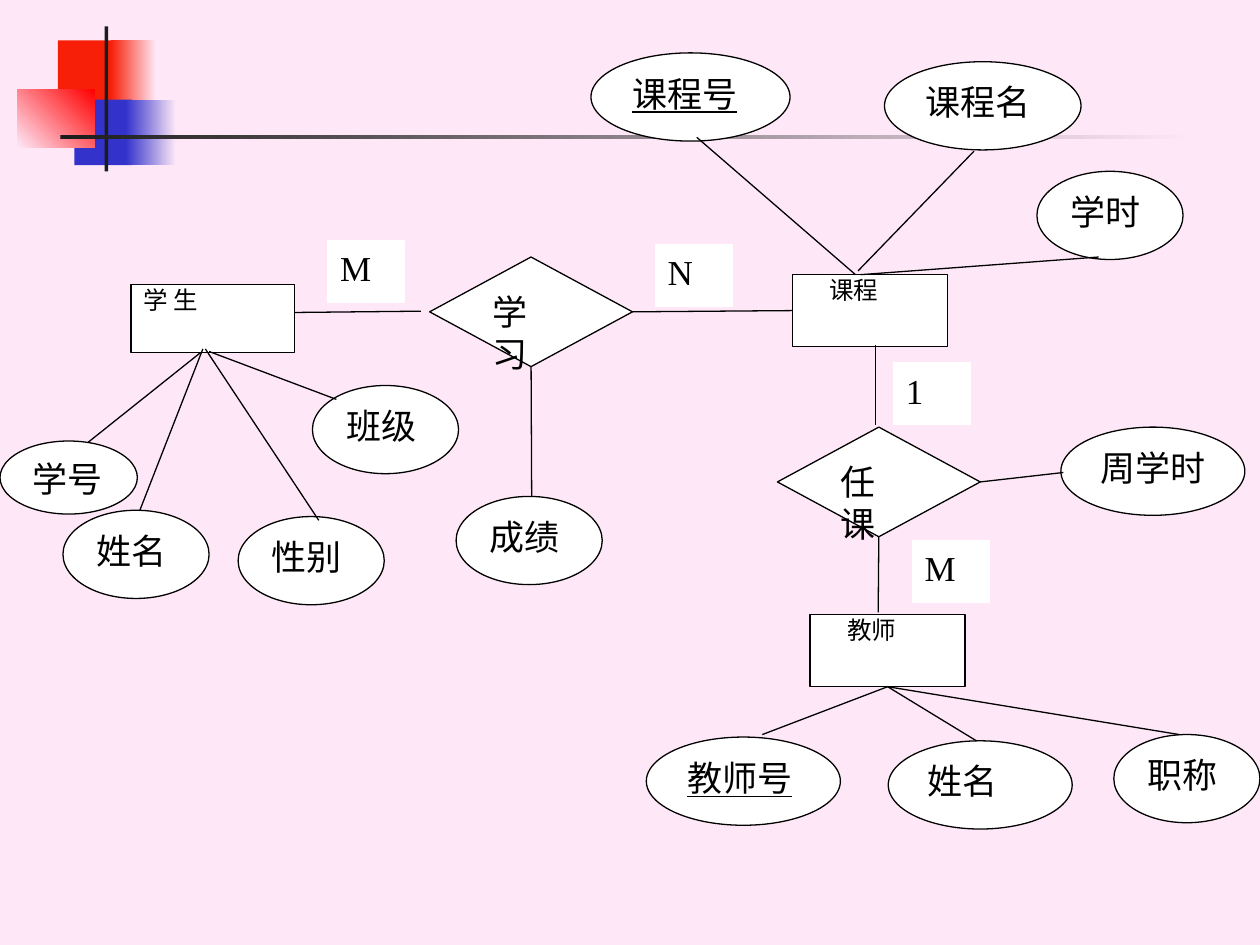
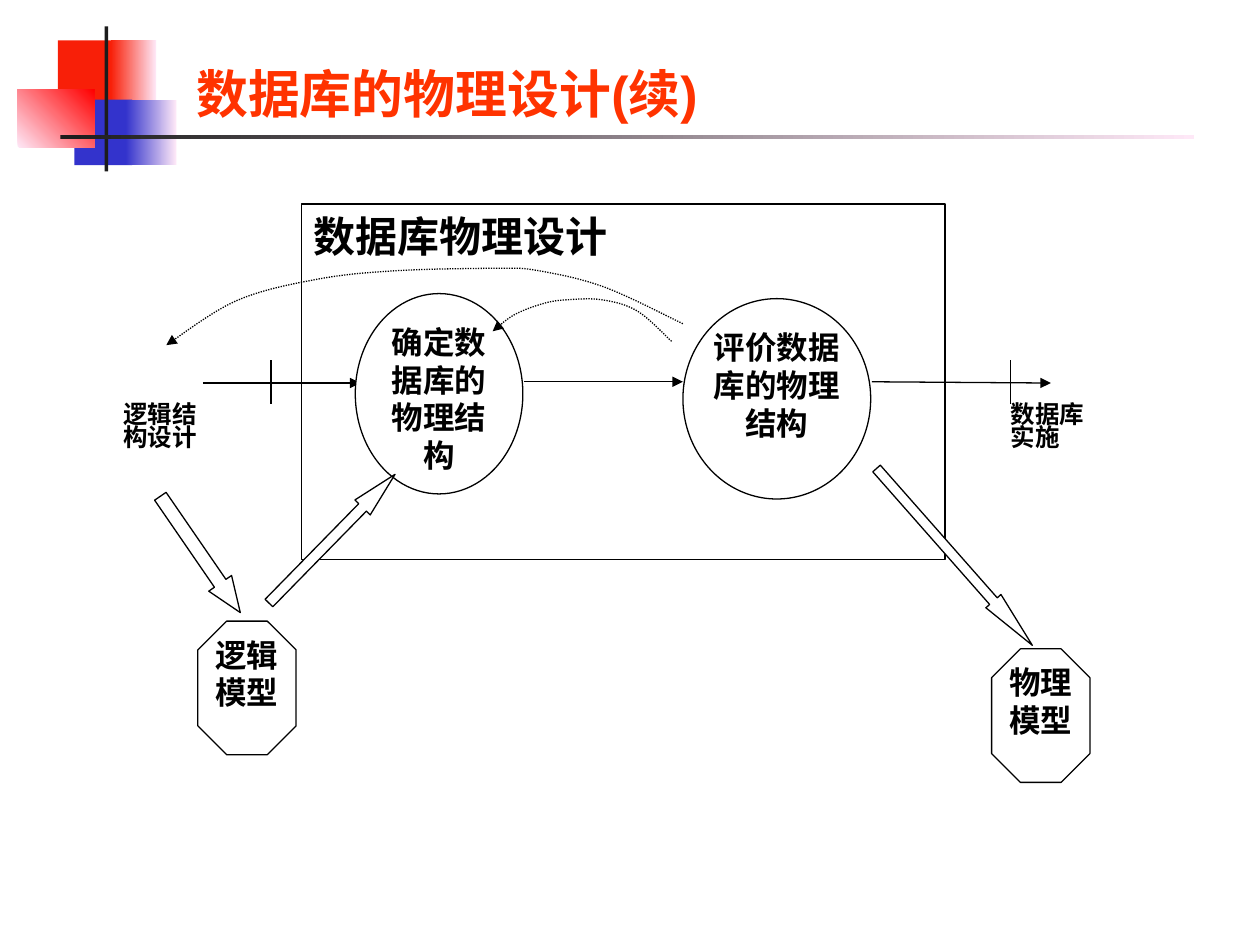
from lxml import etree
from pptx import Presentation
from pptx.dml.color import RGBColor
from pptx.enum.dml import MSO_LINE
from pptx.enum.shapes import MSO_CONNECTOR, MSO_SHAPE
from pptx.enum.text import MSO_ANCHOR, PP_ALIGN
from pptx.oxml.ns import qn
from pptx.util import Inches, Pt

RECT, ELLIPSE = MSO_SHAPE.RECTANGLE, MSO_SHAPE.OVAL
DIAMOND, OCTAGON = MSO_SHAPE.FLOWCHART_DECISION, MSO_SHAPE.OCTAGON
ARROW = MSO_SHAPE.RIGHT_ARROW
STRAIGHT, DOTTED = MSO_CONNECTOR.STRAIGHT, MSO_LINE.ROUND_DOT
JUSTIFY, CENTER, LEFT = PP_ALIGN.JUSTIFY, PP_ALIGN.CENTER, PP_ALIGN.LEFT
TOP_SITE, LEFT_SITE, BOTTOM_SITE, RIGHT_SITE = range(4)

BLACK = RGBColor(0x00, 0x00, 0x00)
WHITE = RGBColor(0xFF, 0xFF, 0xFF)
PINK = RGBColor(0xFE, 0xE8, 0xF7)
RED = RGBColor(0xF8, 0x1F, 0x08)
PURE_RED = RGBColor(0xFF, 0x00, 0x00)
BLUE = RGBColor(0x33, 0x33, 0xCC)
CHARCOAL = RGBColor(0x1C, 0x1C, 0x1C)
ORANGE = RGBColor(0xFF, 0x33, 0x00)

SERIF, SANS = "Times New Roman", "Arial"
THIN = Pt(0.75)

# The slide is a grid of 10 columns by 7.5 rows of square cells
COLS, ROWS, CELL = 10, 7.5, Inches(1)


def cells(*lengths):
    return [round(n * CELL) for n in lengths]


# ---- Elements ----
def add_box(s, kind, at, fill=WHITE, line=BLACK):
    sp = s.shapes.add_shape(kind, *cells(*at))
    sp.shadow.inherit = False
    sp.fill.solid()
    sp.fill.fore_color.rgb = fill
    if line is None:
        sp.line.fill.background()
    else:
        sp.line.color.rgb = line
        sp.line.width = THIN
    return sp


def add_fade(s, at, start, end, angle=0):
    sp = add_box(s, RECT, at, line=None)
    sp.fill.gradient()
    sp.fill.gradient_angle = angle
    for stop, color in zip(sp.fill.gradient_stops, (start, end)):
        stop.color.rgb = color


def write(sp, text, size, bold=False, align=JUSTIFY, spacing=1.0, color=BLACK,
          font=SERIF, underline=False, inset=(0.1, 0.05, 0.1, 0.05),
          anchor=MSO_ANCHOR.TOP, indent=0):
    tf = sp.text_frame
    tf.word_wrap = True
    tf.vertical_anchor = anchor
    tf.margin_left, tf.margin_top, tf.margin_right, tf.margin_bottom = cells(*inset)
    tf.text = text
    for p in tf.paragraphs:
        p.alignment = align
        p.line_spacing = spacing
        if indent:
            p._p.get_or_add_pPr().set("marL", str(Pt(indent)))
        for r in p.runs:
            r.font.name, r.font.size, r.font.bold = font, Pt(size), bold
            r.font.color.rgb = color
            if underline:
                r.font.underline = True
    return sp


def add_arrowhead(sp):
    ln = sp.element.spPr.find(qn("a:ln"))
    etree.SubElement(ln, qn("a:tailEnd"), type="triangle")


def add_line(s, start, end, arrow=False):
    """Each end is a grid point or a (shape, site) pair."""
    joins = [isinstance(e[0], (int, float)) for e in (start, end)]
    points = [e if is_point else (0, 0) for e, is_point in zip((start, end), joins)]
    c = s.shapes.add_connector(STRAIGHT, *cells(*points[0], *points[1]))
    if not joins[0]:
        c.begin_connect(*start)
    if not joins[1]:
        c.end_connect(*end)
    c.line.color.rgb = BLACK
    c.line.width = THIN
    if arrow:
        add_arrowhead(c)
    etree.SubElement(c.element.spPr, qn("a:effectLst"))


def smooth(points, steps=8):
    """Catmull-Rom curve through the points."""
    padded = [points[0], *points, points[-1]]
    curve = [points[0]]
    for a, b, c, d in zip(padded, padded[1:], padded[2:], padded[3:]):
        for i in range(1, steps + 1):
            t = i / steps
            curve.append(tuple(
                (2 * q + (r - p) * t + (2 * p - 5 * q + 4 * r - u) * t ** 2
                 + (3 * q - p - 3 * r + u) * t ** 3) / 2
                for p, q, r, u in zip(a, b, c, d)))
    return curve


def add_feedback(s, points):
    curve = [cells(*point) for point in smooth(points)]
    builder = s.shapes.build_freeform(*curve[0])
    builder.add_line_segments(curve[1:], close=False)
    sp = builder.convert_to_shape()
    sp.shadow.inherit = False
    sp.fill.background()
    sp.line.color.rgb = BLACK
    sp.line.width = THIN
    sp.line.dash_style = DOTTED
    add_arrowhead(sp)


def add_block_arrow(s, at, angle, head):
    sp = add_box(s, ARROW, at)
    sp.adjustments[0], sp.adjustments[1] = 0.5, head
    sp.rotation = angle


def new_slide(prs, background):
    s = prs.slides.add_slide(prs.slide_layouts[6])
    s.background.fill.solid()
    s.background.fill.fore_color.rgb = background
    # Corner ornament and rule
    add_box(s, RECT, (0.46, 0.32, 0.48, 0.52), RED, None)
    add_fade(s, (0.88, 0.32, 0.36, 0.52), RED, PINK)
    add_box(s, RECT, (0.59, 0.79, 0.46, 0.52), BLUE, None)
    add_fade(s, (1, 0.79, 0.4, 0.52), BLUE, PINK)
    add_fade(s, (0.14, 0.71, 0.61, 0.46), PINK, PURE_RED, 45)
    add_box(s, RECT, (0.83, 0.21, 0.03, 1.15), CHARCOAL, None)
    add_fade(s, (0.48, 1.07, 9, 0.03), CHARCOAL, PINK)
    return s


# ---- Slide 1: entity-relationship diagram ----
def add_entity(s, text, x, y, w=1.23, h=0.57, indent=14):
    return write(add_box(s, RECT, (x, y, w, h)), text, 14, spacing=0.8, indent=indent)


def add_relation(s, text, x, y):
    # The wide right inset stacks the two characters
    return write(add_box(s, DIAMOND, (x, y, 1.61, 0.87)), text, 20,
                 inset=(0.1, 0.05, 0.2, 0.05))


def add_attribute(s, text, x, y, w=1.16, h=0.7, key=False):
    write(add_box(s, ELLIPSE, (x, y, w, h)), text, 20, underline=key)


def add_cardinality(s, text, x, y):
    write(add_box(s, RECT, (x, y, 0.61, 0.49), line=WHITE), text, 20)


def er_slide(prs):
    s = new_slide(prs, PINK)
    add_entity(s, "学 生", 1.04, 2.26, 1.3, 0.54, indent=0)
    course = add_entity(s, "课程", 6.29, 2.18)
    teacher = add_entity(s, "教师", 6.43, 4.88)
    study = add_relation(s, "学习", 3.41, 2.04)
    teach = add_relation(s, "任课", 6.17, 3.39)

    for text, x, y, *size in (
            ("学号", 0, 3.5, 1.09, 0.58), ("姓名", 0.5, 4.05), ("性别", 1.89, 4.1),
            ("班级", 2.48, 3.06), ("成绩", 3.62, 3.94), ("课程名", 7.02, 0.49, 1.56),
            ("学时", 8.23, 1.36), ("周学时", 8.42, 3.39, 1.46),
            ("姓名", 7.05, 5.88, 1.46), ("职称", 8.84, 5.83)):
        add_attribute(s, text, x, y, *size)
    add_attribute(s, "课程号", 4.69, 0.42, 1.58, key=True)
    add_attribute(s, "教师号", 5.13, 5.85, 1.54, key=True)

    for text, x, y in (("M", 2.6, 1.91), ("N", 5.2, 1.94),
                       ("1", 7.09, 2.88), ("M", 7.24, 4.29)):
        add_cardinality(s, text, x, y)

    for start, end in (
            # Student
            ((0.7, 3.51), (1.59, 2.8)), ((1.61, 2.77), (1.11, 4.05)),
            ((1.63, 2.77), (2.53, 4.13)), ((1.66, 2.79), (2.67, 3.17)),
            ((2.34, 2.48), (3.34, 2.47)),
            # Study
            ((study, BOTTOM_SITE), (4.22, 3.94)),
            ((study, RIGHT_SITE), (course, LEFT_SITE)),
            # Course
            ((5.53, 1.09), (6.79, 2.18)), ((7.73, 1.2), (6.81, 2.15)),
            ((8.72, 2.04), (6.83, 2.18)), ((6.95, 2.74), (6.95, 3.37)),
            # Teach and teacher
            ((teach, RIGHT_SITE), (8.44, 3.75)), ((teach, BOTTOM_SITE), (6.97, 4.86)),
            ((teacher, BOTTOM_SITE), (6.05, 5.83)),
            ((teacher, BOTTOM_SITE), (7.75, 5.88)),
            ((teacher, BOTTOM_SITE), (9.36, 5.83))):
        add_line(s, start, end)


# ---- Slide 2: physical design process ----
def add_step(s, text, at, kind=ELLIPSE):
    sp = write(add_box(s, kind, at), text, 18, bold=True, align=CENTER, inset=(0,) * 4)
    if kind == OCTAGON:
        sp.adjustments[0] = 0.293


def add_stage(s, text, x, w):
    write(add_box(s, RECT, (x, 3.21, w, 0.53), line=None), text, 14, bold=True,
          spacing=0.8, inset=(0,) * 4)


def process_slide(prs):
    s = new_slide(prs, WHITE)
    title = s.shapes.add_textbox(*cells(1.46, 0.46, 8.08, 0.62))
    write(title, "数据库的物理设计(续)", 29.6, bold=True, align=LEFT, spacing=0.9,
          color=ORANGE, font=SANS, anchor=MSO_ANCHOR.MIDDLE)

    # Frame, steps and the flow between them
    write(add_box(s, RECT, (2.39, 1.62, 5.11, 2.82)), "数据库物理设计", 24, bold=True)
    add_line(s, (1.61, 3.04), (2.86, 3.04), arrow=True)
    add_step(s, "确定数据库的物理结构", (2.82, 2.33, 1.33, 1.59))
    add_line(s, (4.16, 3.03), (5.42, 3.03), arrow=True)
    add_step(s, "评价数据库的物理结构", (5.42, 2.37, 1.49, 1.59))
    add_line(s, (6.92, 3.03), (8.34, 3.04), arrow=True)
    for x in (2.15, 8.02):
        add_line(s, (x, 2.86), (x, 3.21))
    add_stage(s, "逻辑结\n构设计", 0.98, 1.25)
    add_stage(s, "数据库\n实施", 8.02, 1.41)

    # Models and block arrows
    add_step(s, "物理\n模型", (7.87, 5.15, 0.78, 1.06), OCTAGON)
    add_step(s, "逻辑\n模型", (1.57, 4.93, 0.78, 1.06), OCTAGON)
    add_block_arrow(s, (1.03, 4.29, 1.12, 0.22), 55.5, 1.28)
    add_block_arrow(s, (6.64, 4.34, 1.87, 0.16), 48.6, 2.92)
    add_block_arrow(s, (1.92, 4.19, 1.43, 0.17), 314.4, 2.16)

    # Feedback loops
    add_feedback(s, [(5.33, 2.71), (5.06, 2.47), (4.78, 2.38), (4.5, 2.38),
                     (4.31, 2.41), (4.08, 2.5), (3.91, 2.63)])
    add_feedback(s, [(5.42, 2.57), (4.8, 2.28), (4.28, 2.15), (3.95, 2.13),
                     (3.13, 2.15), (2.5, 2.22), (1.87, 2.39), (1.32, 2.74)])


def main():
    prs = Presentation()
    prs.slide_width, prs.slide_height = cells(COLS, ROWS)
    er_slide(prs)
    process_slide(prs)
    prs.save("out.pptx")


if __name__ == "__main__":
    main()
